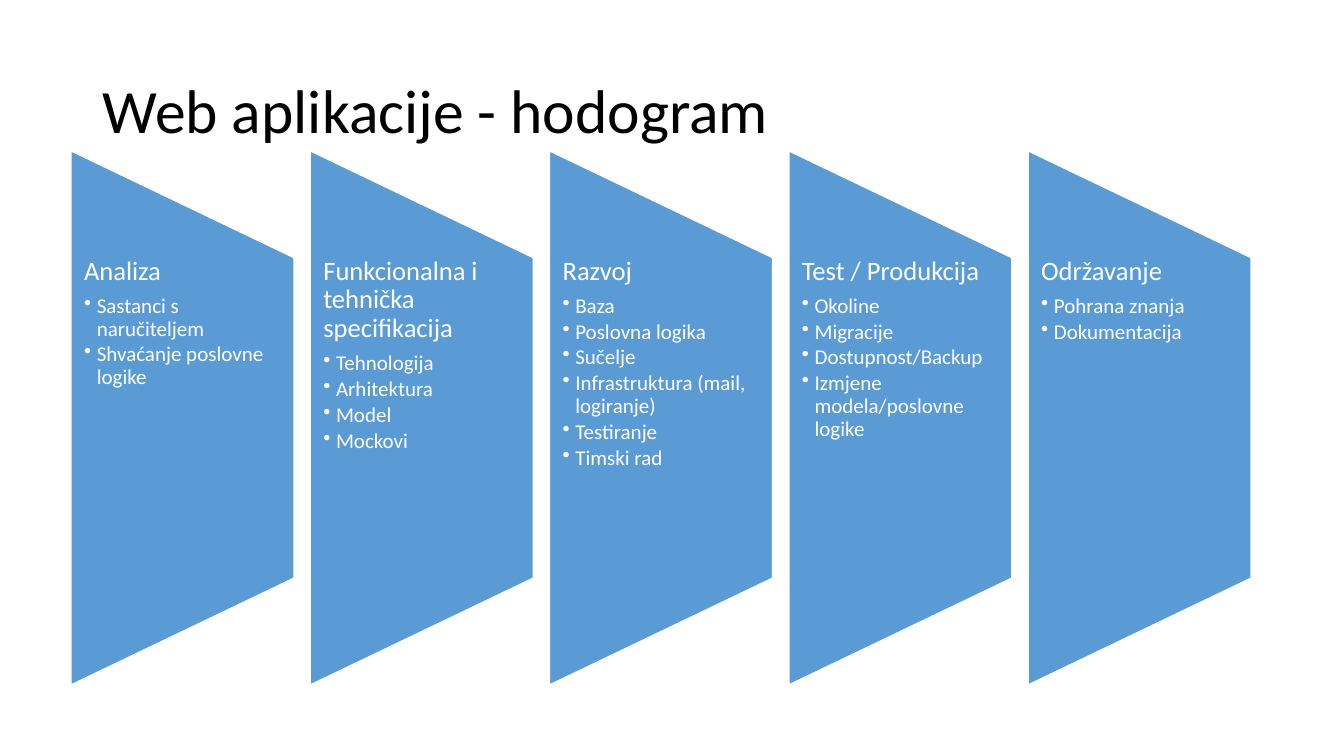
from pptx import Presentation
from pptx import util as u
from pptx.dml.color import RGBColor
from pptx.enum import shapes, text
from pptx.oxml import parse_xml
from pptx.oxml.ns import nsdecls

STAGES = [
    ("Analiza", ["Sastanci s naručiteljem", "Shvaćanje poslovne logike"]),
    ("Funkcionalna i tehnička specifikacija",
     ["Tehnologija", "Arhitektura", "Model", "Mockovi"]),
    ("Razvoj",
     ["Baza", "Poslovna logika", "Sučelje", "Infrastruktura (mail, logiranje)",
      "Testiranje", "Timski rad"]),
    ("Test / Produkcija",
     ["Okoline", "Migracije", "Dostupnost/Backup", "Izmjene modela/poslovne logike"]),
    ("Održavanje", ["Pohrana znanja", "Dokumentacija"]),
]
FIRST_LEFT, PITCH = 1.79, 6.03
STAGE_WIDTH, STAGE_HEIGHT, STAGE_MIDDLE = 5.62, 13.46, 10.53


def color(value):
    return RGBColor.from_string(value)


def write(paragraph, content, size=15, fill="FFFFFF", font="Calibri", after=0, bullet=False):
    paragraph.alignment = text.PP_ALIGN.LEFT
    paragraph.line_spacing = 0.9
    paragraph.space_after = u.Pt(after)
    run = paragraph.add_run()
    run.text = content
    run.font.name = font
    run.font.size = u.Pt(size)
    run.font.color.rgb = color(fill)
    if bullet:
        properties = paragraph._p.get_or_add_pPr()
        indent = u.Cm(0.32)
        properties.set("marL", str(indent))
        properties.set("indent", str(-indent))
        properties.append(parse_xml(f'<a:buChar {nsdecls("a")} char="•"/>'))


class Deck:
    accent = "5B9BD5"
    outline = "FFFFFF"

    def __init__(self, width, height):
        self.presentation = Presentation()
        self.presentation.slide_width = u.Cm(width)
        self.presentation.slide_height = u.Cm(height)
        self.slide = self.presentation.slides.add_slide(self.presentation.slide_layouts[5])

    def title(self, content, left, top, width, height):
        title = self.slide.shapes.title
        title.left, title.top = u.Cm(left), u.Cm(top)
        title.width, title.height = u.Cm(width), u.Cm(height)
        title.text_frame.vertical_anchor = text.MSO_ANCHOR.MIDDLE
        write(title.text_frame.paragraphs[0], content, size=44, fill="000000")

    def panel(self, left, middle, width, height):
        shape = self.slide.shapes.add_shape(
            shapes.MSO_SHAPE.FLOWCHART_MANUAL_OPERATION,
            u.Cm(left + (width - height) / 2), u.Cm(middle - width / 2),
            u.Cm(height), u.Cm(width))
        shape.rotation = 270
        shape.shadow.inherit = False
        shape.fill.solid()
        shape.fill.fore_color.rgb = color(self.accent)
        shape.line.color.rgb = color(self.outline)
        shape.line.width = u.Pt(1)

    def listing(self, heading, items, left, top, width, height):
        box = self.slide.shapes.add_textbox(u.Cm(left), u.Cm(top), u.Cm(width), u.Cm(height))
        frame = box.text_frame
        frame.word_wrap = True
        frame.margin_left = frame.margin_right = u.Cm(0.33)
        frame.margin_top = frame.margin_bottom = 0
        write(frame.paragraphs[0], heading, size=19, after=6.65)
        for item in items:
            write(frame.add_paragraph(), item, after=2.25, bullet=True)


def main():
    deck = Deck(33.87, 19.05)
    deck.title("Web aplikacije - hodogram", 2.33, 1.01, 29.21, 3.68)
    for index, (heading, items) in enumerate(STAGES):
        left = FIRST_LEFT + index * PITCH
        deck.panel(left, STAGE_MIDDLE, STAGE_WIDTH, STAGE_HEIGHT)
        deck.listing(heading, items, left, 6.48, STAGE_WIDTH, 8.08)
    deck.presentation.save("out.pptx")


if __name__ == "__main__":
    main()
